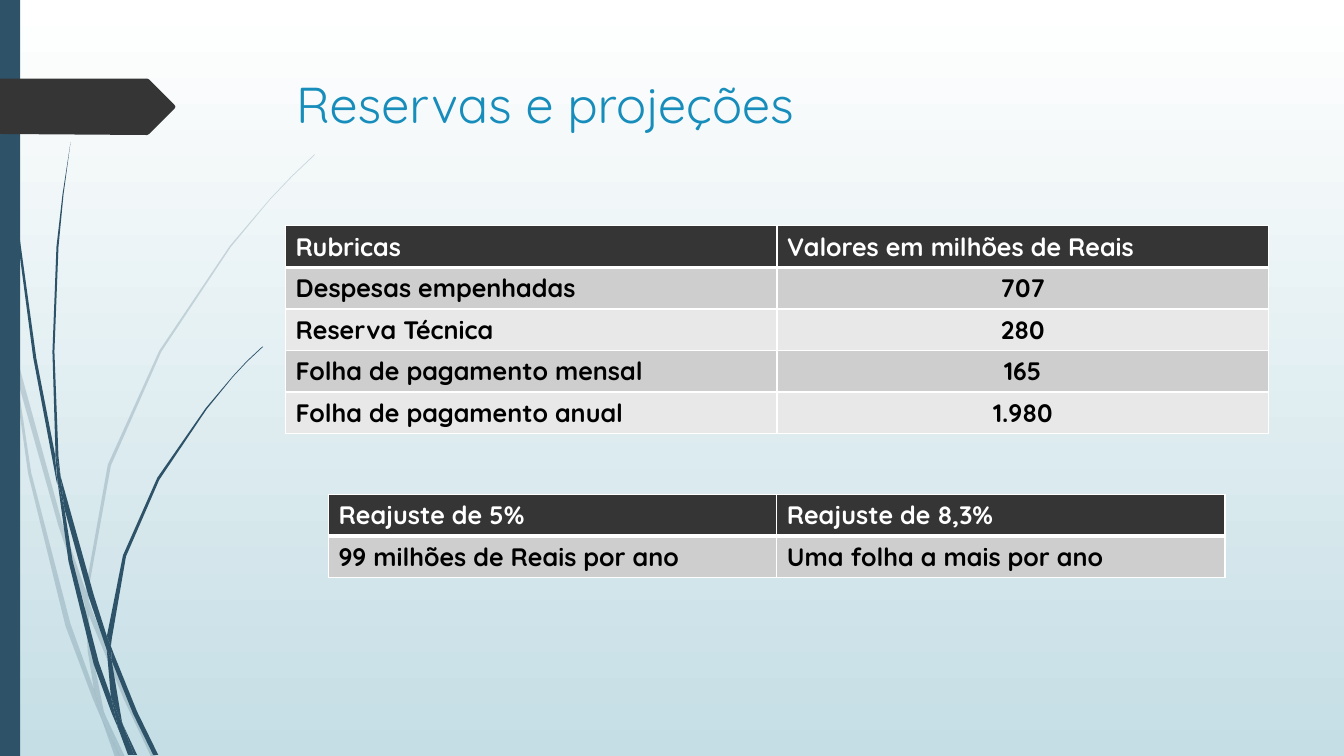
import pptx
import pptx.dml.color
import pptx.enum.shapes
import pptx.enum.text
import pptx.oxml
import pptx.oxml.ns
import pptx.util

RGBColor = pptx.dml.color.RGBColor
WHITE = RGBColor(0xFF, 0xFF, 0xFF)
BLACK = RGBColor(0, 0, 0)
MIST = RGBColor(0xC5, 0xDE, 0xE5)
NAVY = RGBColor(0x2E, 0x53, 0x69)
CHARCOAL = RGBColor(0x35, 0x35, 0x35)
TITLE_BLUE = RGBColor(0x17, 0x8D, 0xBB)
BANDS = (RGBColor(0xCE, 0xCE, 0xCE), RGBColor(0xE8, 0xE8, 0xE8))
FONT = "Quicksand"
LEFT = pptx.enum.text.PP_ALIGN.LEFT
CENTER = pptx.enum.text.PP_ALIGN.CENTER

# Outlines use a grid of 750 units over the slide's height
GRID_ROWS = 750
PALE_STRANDS = (
    ((11, 350), (9, 322), (0, 282), (0, 299), (10, 344)),
    ((58, 522), (84, 599), (85, 586), (62, 520), (14, 345), (17, 376)),
    ((92, 607), (88, 596), (88, 610), (123, 694), (150, 751), (155, 751), (127, 692)),
    ((119, 751), (124, 751), (105, 711)),
    ((93, 683), (70, 619), (31, 469), (17, 376), (11, 350), (28, 470), (65, 621),
     (92, 693), (101, 714), (99, 707)),
    ((84, 599), (87, 646), (93, 683), (96, 692), (105, 711), (103, 706), (91, 646),
     (88, 610), (88, 608)),
    ((88, 584), (110, 462), (160, 349), (229, 245), (268, 198), (290, 175), (312, 154),
     (312, 153), (289, 175), (268, 197), (228, 244), (158, 348), (107, 461), (85, 584),
     (85, 586), (88, 596)),
    ((101, 714), (114, 751), (119, 751)),
    ((88, 608), (88, 610), (88, 596), (85, 586), (84, 599)),
    ((96, 692), (93, 683), (99, 707), (101, 714), (119, 751), (105, 711)),
)
DARK_STRANDS = (
    ((7, 110), (17, 233), (33, 355), (56, 477), (57, 481), (55, 457), (55, 453),
     (36, 355), (19, 232), (8, 109), (5, 48), (4, 0), (3, 0), (4, 48)),
    ((88, 592), (106, 645), (106, 633), (106, 631), (93, 590), (60, 472), (64, 505)),
    ((113, 649), (110, 641), (111, 656), (132, 708), (152, 749), (157, 749), (136, 706)),
    ((110, 691), (98, 657), (72, 556), (64, 505), (57, 477), (68, 557), (93, 659),
     (111, 708), (117, 722), (116, 717)),
    ((60, 472), (58, 453), (54, 349), (58, 245), (63, 193), (70, 141), (62, 193),
     (56, 245), (52, 349), (55, 449)),
    ((133, 749), (136, 749), (122, 719)),
    ((57, 477), (64, 505), (60, 472), (55, 449), (55, 453)),
    ((111, 633), (125, 552), (158, 476), (205, 406), (231, 374), (245, 359), (261, 344),
     (260, 344), (245, 358), (231, 373), (204, 405), (156, 474), (122, 551), (106, 631),
     (110, 641)),
    ((117, 722), (127, 749), (131, 749)),
    ((106, 645), (110, 691), (116, 706), (122, 719), (121, 716), (111, 656), (109, 651)),
    ((106, 645), (109, 651), (111, 656), (110, 641), (106, 631), (106, 633)),
    ((116, 706), (110, 691), (116, 717), (117, 722), (130, 749), (133, 749), (122, 719)),
)
TAB_OUTLINE = ((0, 78), (146, 78), (148, 79), (173, 104), (174, 106), (173, 108),
               (148, 133), (146, 134), (0, 133))

presentation = pptx.Presentation()
presentation.slide_width = pptx.util.Inches(13.33)
presentation.slide_height = pptx.util.Inches(7.5)
slide = presentation.slides.add_slide(presentation.slide_layouts[6])


def share_box(left, top, width, height):
    """Turn percentages of the slide into a box of lengths."""
    across, down = presentation.slide_width / 100, presentation.slide_height / 100
    return tuple(round(length) for length in
                 (left * across, top * down, width * across, height * down))


def paint(shape, color, opacity=100):
    shape.shadow.inherit = False
    shape.line.fill.background()
    shape.fill.solid()
    shape.fill.fore_color.rgb = color
    if opacity < 100:
        color_element = shape.fill._xPr.find(".//" + pptx.oxml.ns.qn("a:srgbClr"))
        alpha = pptx.oxml.parse_xml(
            f'<a:alpha {pptx.oxml.ns.nsdecls("a")} val="{opacity * 1000}"/>')
        color_element.append(alpha)


def add_outline(box, points, color, opacity=100):
    left, top, _, height = box
    builder = slide.shapes.build_freeform(*points[0], scale=height / GRID_ROWS)
    builder.add_line_segments(points[1:], close=True)
    paint(builder.convert_to_shape(left, top), color, opacity)


def add_run(paragraph, text, size, color, bold=False):
    run = paragraph.add_run()
    run.text = text
    run.font.name = FONT
    run.font.size = pptx.util.Pt(size)
    run.font.bold = bold
    run.font.color.rgb = color


def add_backdrop(box):
    # Gradient from top to bottom
    fill = slide.background.fill
    fill.gradient()
    fill.gradient_angle = 270
    for stop, position, color in zip(fill.gradient_stops, (0, 1), (WHITE, MIST)):
        stop.position = position
        stop.color.rgb = color
    # Grass strands
    for strands, opacity in ((PALE_STRANDS, 20), (DARK_STRANDS, 100)):
        for points in strands:
            add_outline(box, points, NAVY, opacity)
    # Side bar and pointed tab
    left, top, width, height = box
    bar = slide.shapes.add_shape(pptx.enum.shapes.MSO_SHAPE.RECTANGLE,
                                 left, top, round(width * 0.015), height)
    paint(bar, NAVY)
    add_outline(box, TAB_OUTLINE, CHARCOAL)


def add_title(box, text):
    frame = slide.shapes.add_textbox(*box).text_frame
    frame.word_wrap = True
    add_run(frame.paragraphs[0], text, 36, TITLE_BLUE)


def set_borders(cell, top, bottom):
    properties = cell._tc.get_or_add_tcPr()
    widths = (("lnL", 1), ("lnR", 1), ("lnT", top), ("lnB", bottom))
    for position, (side, points) in enumerate(widths):
        border = pptx.oxml.parse_xml(
            f'<a:{side} {pptx.oxml.ns.nsdecls("a")} w="{pptx.util.Pt(points)}">'
            f'<a:solidFill><a:srgbClr val="{WHITE}"/></a:solidFill></a:{side}>')
        properties.insert(position, border)


def add_banded_table(box, rows, alignments):
    table = slide.shapes.add_table(len(rows), len(alignments), *box).table
    table.horz_banding = False
    for row_index, texts in enumerate(rows):
        header = row_index == 0
        for column_index, text in enumerate(texts):
            cell = table.cell(row_index, column_index)
            cell.fill.solid()
            cell.fill.fore_color.rgb = CHARCOAL if header else BANDS[(row_index - 1) % 2]
            set_borders(cell, 3 if row_index == 1 else 1, 3 if header else 1)
            paragraph = cell.text_frame.paragraphs[0]
            paragraph.alignment = LEFT if header else alignments[column_index]
            add_run(paragraph, text, 18, WHITE if header else BLACK, bold=True)


BUDGET = (
    ("Rubricas", "Valores em milhões de Reais"),
    ("Despesas empenhadas", "707"),
    ("Reserva Técnica", "280"),
    ("Folha de pagamento mensal", "165"),
    ("Folha de pagamento anual", "1.980"),
)
ADJUSTMENTS = (
    ("Reajuste de 5%", "Reajuste de 8,3%"),
    ("99 milhões de Reais por ano", "Uma folha a mais por ano"),
)
ROW_SHARE = 5.5

add_backdrop(share_box(0, 0, 100, 100))
add_title(share_box(21.3, 9.07, 73.14, 18.67), "Reservas e projeções")
add_banded_table(share_box(21.25, 29.87, 73.14, ROW_SHARE * len(BUDGET)),
                 BUDGET, (LEFT, CENTER))
add_banded_table(share_box(24.45, 65.4, 66.7, ROW_SHARE * len(ADJUSTMENTS)),
                 ADJUSTMENTS, (LEFT, LEFT))

presentation.save("out.pptx")
